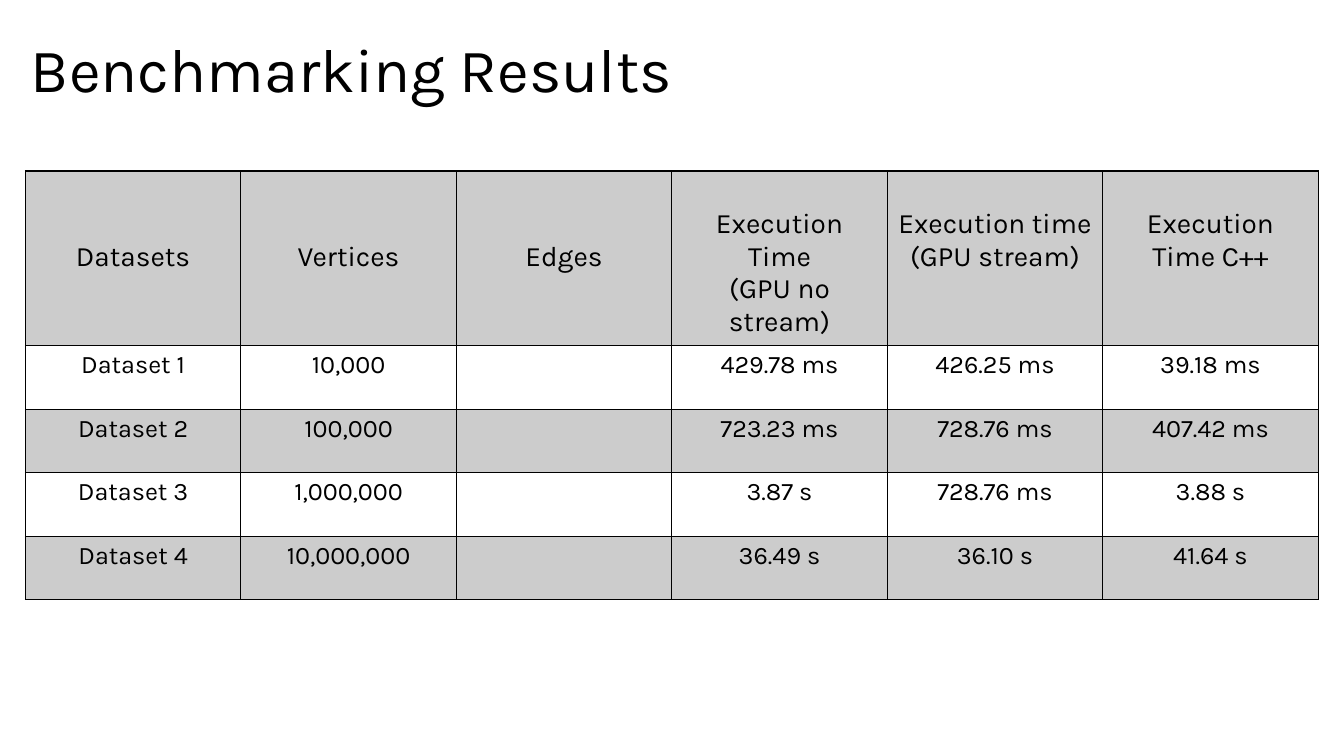
"""Build the benchmarking results slide with its table of execution times."""
from lxml.etree import SubElement
from pptx import Presentation
from pptx.dml.color import RGBColor
from pptx.enum.text import MSO_ANCHOR, PP_ALIGN
from pptx.oxml.ns import qn
from pptx.util import Cm, Pt

THEME = {
    "font": "Karla",
    "ink": RGBColor(0, 0, 0),
    "shade_alpha": "20000",
    "title": Pt(44),
    "header": Pt(20),
    "body": Pt(18),
    "border": Pt(1),
}

HEADERS = [
    "Datasets",
    "Vertices",
    "Edges",
    "Execution Time\n(GPU no stream)",
    "Execution time (GPU stream)",
    "Execution Time C++",
]
ROWS = [
    HEADERS,
    ["Dataset 1", "10,000", "", "429.78 ms", "426.25 ms", "39.18 ms"],
    ["Dataset 2", "100,000", "", "723.23 ms", "728.76 ms", "407.42 ms"],
    ["Dataset 3", "1,000,000", "", "3.87 s", "728.76 ms", "3.88 s"],
    ["Dataset 4", "10,000,000", "", "36.49 s", "36.10 s", "41.64 s"],
]
COL_W, HEADER_H, ROW_H = Cm(5.43), Cm(4.4), Cm(1.6)
NAME_TOP, TIME_TOP, HEADER_BOTTOM = Cm(1.75), Cm(0.92), Cm(0.06)


def write(tf, text, size, **para_format):
    """Fill a text frame and format each of its paragraphs."""
    tf.text = text
    for p in tf.paragraphs:
        for name, value in para_format.items():
            setattr(p, name, value)
        font_format = {"name": THEME["font"], "size": size}
        for name, value in font_format.items():
            setattr(p.font, name, value)
            for r in p.runs:
                setattr(r.font, name, value)
        for r in p.runs:
            r.font.color.rgb = THEME["ink"]


def add_borders(tc_pr):
    """Draw a solid line on all four sides of a cell."""
    for side in ("lnL", "lnR", "lnT", "lnB"):
        ln = SubElement(tc_pr, qn(f"a:{side}"), w=str(THEME["border"]))
        fill = SubElement(ln, qn("a:solidFill"))
        SubElement(fill, qn("a:srgbClr"), val=str(THEME["ink"]))


prs = Presentation()
prs.slide_width, prs.slide_height = Cm(33.87), Cm(19.05)
s = prs.slides.add_slide(prs.slide_layouts[6])

sp = s.shapes.add_textbox(Cm(0.53), Cm(0), Cm(29.21), Cm(3.68))
tf = sp.text_frame
for name, value in {"word_wrap": True, "vertical_anchor": MSO_ANCHOR.MIDDLE}.items():
    setattr(tf, name, value)
write(tf, "Benchmarking Results", THEME["title"], line_spacing=0.9)

table = s.shapes.add_table(
    len(ROWS), len(HEADERS), Cm(0.64), Cm(4.31),
    COL_W * len(HEADERS), HEADER_H + ROW_H * (len(ROWS) - 1),
).table
for name, value in {"first_row": False, "horz_banding": False}.items():
    setattr(table, name, value)
for col in table.columns:
    col.width = COL_W

for i, values in enumerate(ROWS):
    table.rows[i].height = ROW_H if i else HEADER_H
    for j, text in enumerate(values):
        cell = table.cell(i, j)
        size = THEME["body"] if i else THEME["header"]
        write(cell.text_frame, text, size, alignment=PP_ALIGN.CENTER)
        if i == 0:
            cell.margin_top = NAME_TOP if j < 3 else TIME_TOP
            cell.margin_bottom = HEADER_BOTTOM
        tc_pr = cell._tc.get_or_add_tcPr()
        add_borders(tc_pr)
        if i % 2:
            cell.fill.background()
        else:
            cell.fill.solid()
            cell.fill.fore_color.rgb = THEME["ink"]
            color = tc_pr.find(qn("a:solidFill")).find(qn("a:srgbClr"))
            SubElement(color, qn("a:alpha"), val=THEME["shade_alpha"])

prs.save("out.pptx")
